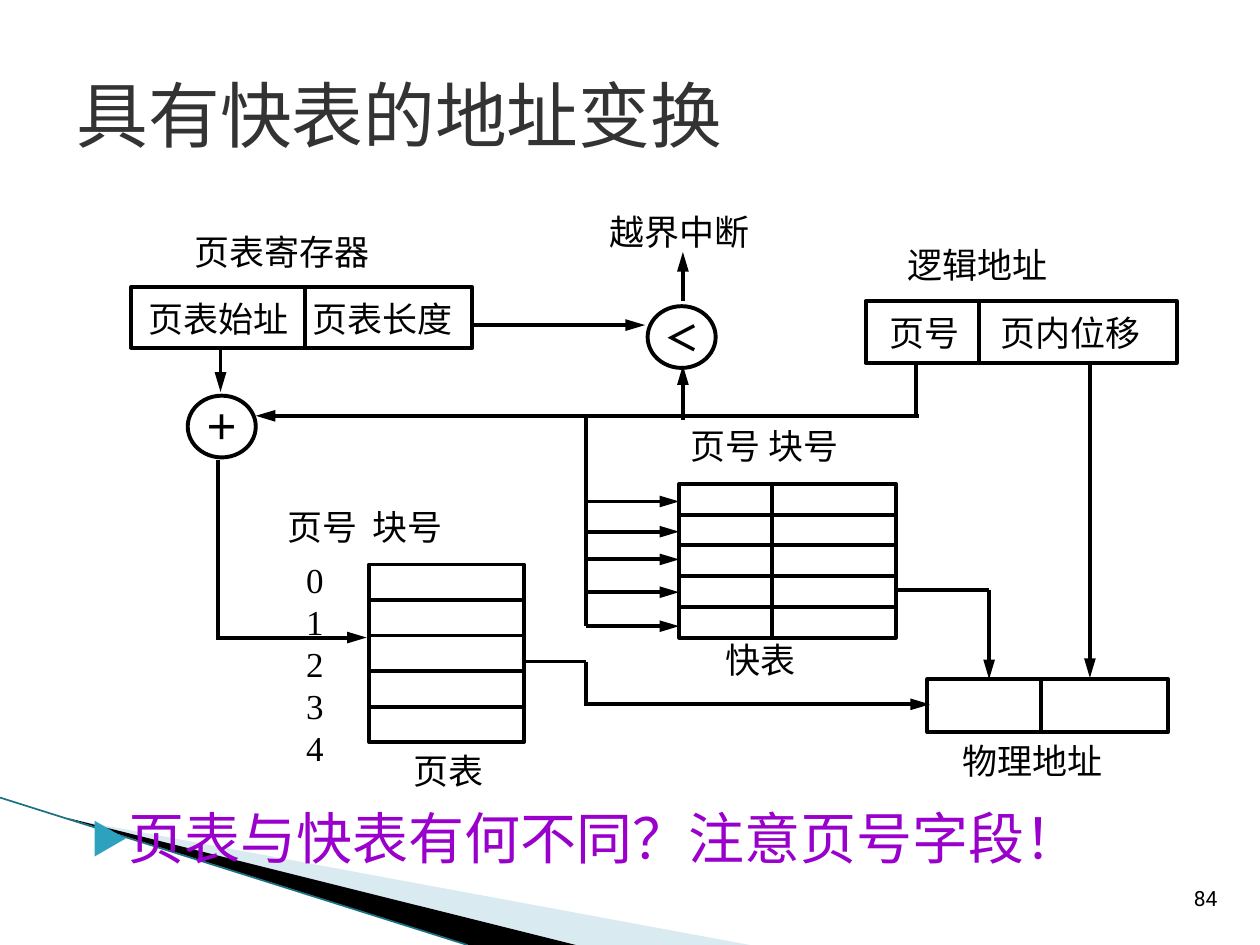
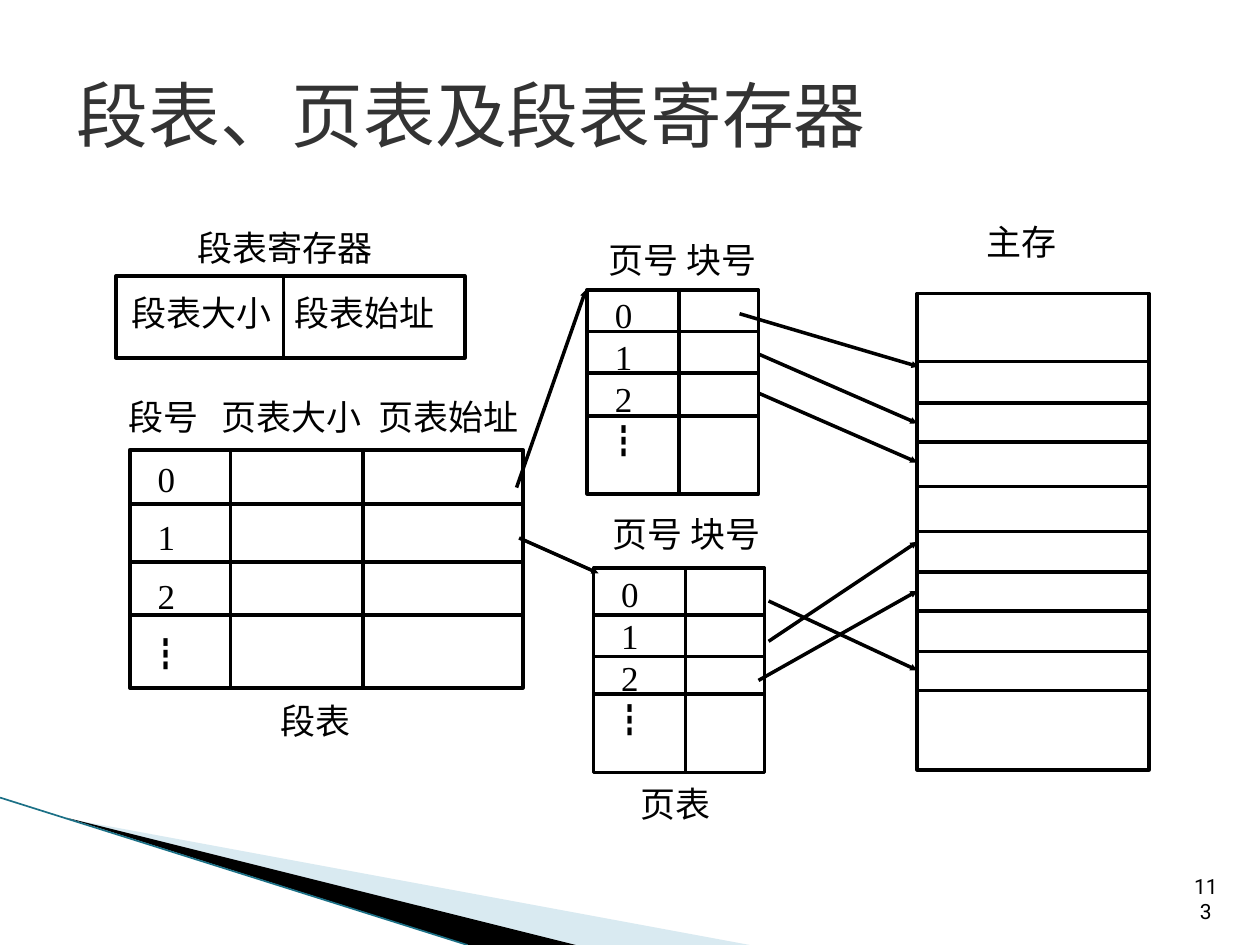
import pptx
import pptx.util
import pptx.dml.color
import pptx.enum.shapes
import pptx.enum.text
import pptx.oxml.ns
from lxml import etree

Inches, Pt = pptx.util.Inches, pptx.util.Pt
RGB = pptx.dml.color.RGBColor
KIND = pptx.enum.shapes.MSO_SHAPE
ALIGN, ANCHOR = pptx.enum.text.PP_ALIGN, pptx.enum.text.MSO_ANCHOR
qn = pptx.oxml.ns.qn

BLACK, WHITE = RGB(0, 0, 0), RGB(0xFF, 0xFF, 0xFF)
GRAY = RGB(0x33, 0x33, 0x33)
PURPLE = RGB(0x99, 0x00, 0xCC)
PALE, TEAL = RGB(0xA0, 0xCB, 0xDC), RGB(0x1B, 0x70, 0x86)
BULLET = "2DA2BF"
SERIF, HAN, SANS = "Times New Roman", "Noto Sans CJK SC", "Roboto"


def even(start, size, count):
    """Inner division lines of a span cut into equal parts."""
    return [start + size * i / count for i in range(1, count)]


# Content: grids are (left, top, width, height, column lines, row lines),
# columns are (centre, top, gap in points, entries), lines are x1, y1, x2, y2
PAGES = ["0", "1", "2", "┇"]
TLB = dict(
    title="具有快表的地址变换", num="84", pen=2.25, head=("med", "lg"),
    note="页表与快表有何不同？注意页号字段！",
    grids=[
        (1.04, 2.28, 2.71, 0.48, [2.42], []),
        (6.87, 2.39, 2.47, 0.49, [7.77], []),
        (2.93, 4.48, 1.23, 1.41, [], even(4.48, 1.41, 5)),
        (5.39, 3.84, 1.72, 1.22, [6.13], even(3.84, 1.22, 5)),
        (7.36, 5.39, 1.91, 0.42, [8.26], []),
    ],
    rings=[(5.14, 2.43, "＜"), (1.49, 3.14, "＋")],
    labels=[
        (1.54, 1.83, "页表寄存器"), (1.18, 2.36, "页表始址"),
        (2.48, 2.36, "页表长度"), (4.84, 1.67, "越界中断"),
        (7.2, 1.93, "逻辑地址"), (7.06, 2.47, "页号"),
        (7.94, 2.47, "页内位移"), (2.28, 4.01, "页号"),
        (2.96, 4.01, "块号"), (5.48, 3.37, "页号 块号"),
        (5.76, 5.07, "快表"), (3.28, 5.95, "页表"), (7.64, 5.87, "物理地址"),
    ],
    columns=[(2.5, 4.43, 0, ["0", "1", "2", "3", "4"])],
    lines=[
        (7.27, 2.88, 7.27, 3.3), (1.73, 3.65, 1.73, 5.08),
        (4.65, 3.3, 4.65, 4.97), (4.16, 5.25, 4.65, 5.25),
        (4.65, 5.25, 4.65, 5.6), (7.11, 4.68, 7.85, 4.68),
    ],
    arrows=[
        (1.73, 5.06, 2.91, 5.06), (5.42, 2.39, 5.42, 2),
        (1.75, 2.75, 1.75, 3.11), (7.29, 3.3, 2.03, 3.3),
        (5.42, 3.33, 5.42, 2.9), (4.65, 5.59, 7.38, 5.59),
        (8.65, 2.88, 8.65, 5.38), (3.75, 2.58, 5.12, 2.58),
        (7.85, 4.68, 7.85, 5.39),
    ] + [(4.65, y, 5.39, y) for y in (3.98, 4.22, 4.44, 4.7, 4.97)],
)
SEGMENT = dict(
    title="段表、页表及段表寄存器", num="113", pen=2, head=("sm", "sm"),
    note="",
    grids=[
        (0.92, 2.19, 2.77, 0.65, [2.25], []),
        (1.03, 3.57, 3.12, 1.89, [1.83, 2.88], [4, 4.46, 4.88]),
        (4.66, 2.3, 1.36, 1.62, [5.39], [2.63, 2.96, 3.3]),
        (4.71, 4.51, 1.36, 1.62, [5.44], [4.88, 5.21, 5.51]),
        (7.28, 2.33, 1.84, 3.78, [],
         [2.87, 3.2, 3.51, 3.86, 4.22, 4.54, 4.85, 5.17, 5.48]),
    ],
    rings=[],
    labels=[
        (1.57, 1.8, "段表寄存器"), (1.04, 2.31, "段表大小"),
        (2.34, 2.31, "段表始址"), (1.02, 3.14, "段号"),
        (1.76, 3.14, "页表大小"), (3, 3.14, "页表始址"),
        (2.23, 5.55, "段表"), (4.83, 1.89, "页号 块号"),
        (4.86, 4.07, "页号 块号"), (5.08, 6.21, "页表"), (7.83, 1.75, "主存"),
    ],
    columns=[(1.32, 3.63, 9.4, PAGES), (4.95, 2.33, 0, PAGES),
             (5, 4.54, 0, PAGES)],
    lines=[],
    arrows=[
        (4.1, 3.87, 4.65, 2.3), (4.12, 4.27, 4.75, 4.55),
        (5.87, 2.49, 7.29, 2.91), (6.02, 2.81, 7.28, 3.36),
        (6.02, 3.12, 7.28, 3.67), (6.1, 4.77, 7.28, 5.32),
        (6.1, 5.09, 7.28, 4.3), (6.02, 5.4, 7.28, 4.69),
    ],
)

# Corner bands: colour, opacity, outline
BANDS = [
    (PALE, 40, [(0.55, 6.5), (5.95, 7.5), (4.56, 7.5)]),
    (BLACK, 100, [(0.53, 6.49), (4.57, 7.5), (3.72, 7.5)]),
]


def style(para, size, font, color, bold=False):
    for run in para.runs:
        face = run.font
        face.size, face.bold, face.color.rgb = Pt(size), bold, color
        face.name = HAN if run.text == "┇" else font
        props = run._r.get_or_add_rPr()
        etree.SubElement(props, qn("a:ea"), typeface=HAN)


def write(slide, box, text, size=20, font=SERIF, color=BLACK,
          wrap=False, inset=0, anchor=ANCHOR.TOP):
    frame = slide.shapes.add_textbox(*map(Inches, box)).text_frame
    frame.margin_left = frame.margin_right = Inches(inset)
    frame.margin_top = frame.margin_bottom = Inches(inset / 2)
    frame.word_wrap, frame.vertical_anchor = wrap, anchor
    frame.text = text
    for para in frame.paragraphs:
        style(para, size, font, color)
    return frame


def draw(slide, ends, pen, head=None, color=BLACK):
    link = slide.shapes.add_connector(
        pptx.enum.shapes.MSO_CONNECTOR.STRAIGHT, *map(Inches, ends))
    link.line.width, link.line.color.rgb = Pt(pen), color
    etree.SubElement(link._element.spPr, qn("a:effectLst"))
    if head:
        etree.SubElement(link.line._get_or_add_ln(), qn("a:tailEnd"),
                         type="triangle", w=head[0], len=head[1])


def block(slide, kind, box, pen):
    shape = slide.shapes.add_shape(kind, *map(Inches, box))
    shape.shadow.inherit = False
    shape.fill.solid()
    shape.fill.fore_color.rgb = WHITE
    shape.line.color.rgb, shape.line.width = BLACK, Pt(pen)
    return shape


def grid(slide, left, top, width, height, cols, rows, pen):
    block(slide, KIND.RECTANGLE, (left, top, width, height), pen)
    for x in cols:
        draw(slide, (x, top, x, top + height), pen)
    for y in rows:
        draw(slide, (left, y, left + width, y), pen)


def ring(slide, left, top, sign, pen):
    frame = block(slide, KIND.OVAL, (left, top, 0.54, 0.49), pen).text_frame
    frame.margin_left = frame.margin_right = 0
    frame.margin_top = frame.margin_bottom = 0
    frame.vertical_anchor = ANCHOR.MIDDLE
    frame.text = sign
    frame.paragraphs[0].alignment = ALIGN.CENTER
    style(frame.paragraphs[0], 20, SERIF, BLACK, True)


def column(slide, mid, top, gap, items):
    box = (mid - 0.25, top, 0.5, len(items) * (24 + gap) / 72)
    for para in write(slide, box, "\n".join(items), wrap=True).paragraphs:
        para.alignment = ALIGN.CENTER
        para.line_spacing, para.space_after = Pt(24), Pt(gap)


def ask(slide, text):
    frame = write(slide, (0.5, 6.33, 9, 0.92), text, 32, color=PURPLE,
                  wrap=True, inset=0.1)
    props = frame.paragraphs[0]._p.get_or_add_pPr()
    props.set("marL", str(Inches(0.4)))
    props.set("indent", str(Inches(-0.28)))
    tint = etree.SubElement(props, qn("a:buClr"))
    etree.SubElement(tint, qn("a:srgbClr"), val=BULLET)
    etree.SubElement(props, qn("a:buSzPct"), val="68000")
    etree.SubElement(props, qn("a:buFont"), typeface=HAN)
    etree.SubElement(props, qn("a:buChar"), char="▶")


def frame_up(slide, title, num):
    """Bands, page number and title found on every slide."""
    for color, alpha, points in BANDS:
        spots = [(Inches(x), Inches(y)) for x, y in points]
        path = slide.shapes.build_freeform(*spots[0], scale=1.0)
        path.add_line_segments(spots[1:], close=True)
        band = path.convert_to_shape()
        band.shadow.inherit = False
        band.fill.solid()
        band.fill.fore_color.rgb = color
        band.line.fill.background()
        if alpha < 100:
            tint = band._element.spPr.find(".//" + qn("a:srgbClr"))
            etree.SubElement(tint, qn("a:alpha"), val=str(alpha * 1000))
    draw(slide, (0, 6.33, 3.71, 7.5), 0.95, color=TEAL)
    page = write(slide, (9.37, 6.98, 0.4, 0.3), num, 12, SANS,
                 wrap=True, inset=0.1, anchor=ANCHOR.MIDDLE)
    page.paragraphs[0].alignment = ALIGN.CENTER
    write(slide, (0.51, 0.28, 9, 1.25), title, 41, HAN, GRAY,
          wrap=True, inset=0.1, anchor=ANCHOR.MIDDLE)


def build(deck, data):
    slide = deck.slides.add_slide(deck.slide_layouts[6])
    pen = data["pen"]
    frame_up(slide, data["title"], data["num"])
    if data["note"]:
        ask(slide, data["note"])
    for part in data["grids"]:
        grid(slide, *part, pen)
    for part in data["rings"]:
        ring(slide, *part, pen)
    for ends in data["lines"]:
        draw(slide, ends, pen)
    for ends in data["arrows"]:
        draw(slide, ends, pen, data["head"])
    for x, y, text in data["labels"]:
        write(slide, (x, y, 0.28 * len(text), 0.36), text)
    for part in data["columns"]:
        column(slide, *part)


def main():
    deck = pptx.Presentation()
    deck.slide_width, deck.slide_height = Inches(10), Inches(7.5)
    for data in (TLB, SEGMENT):
        build(deck, data)
    deck.save("out.pptx")


if __name__ == "__main__":
    main()
